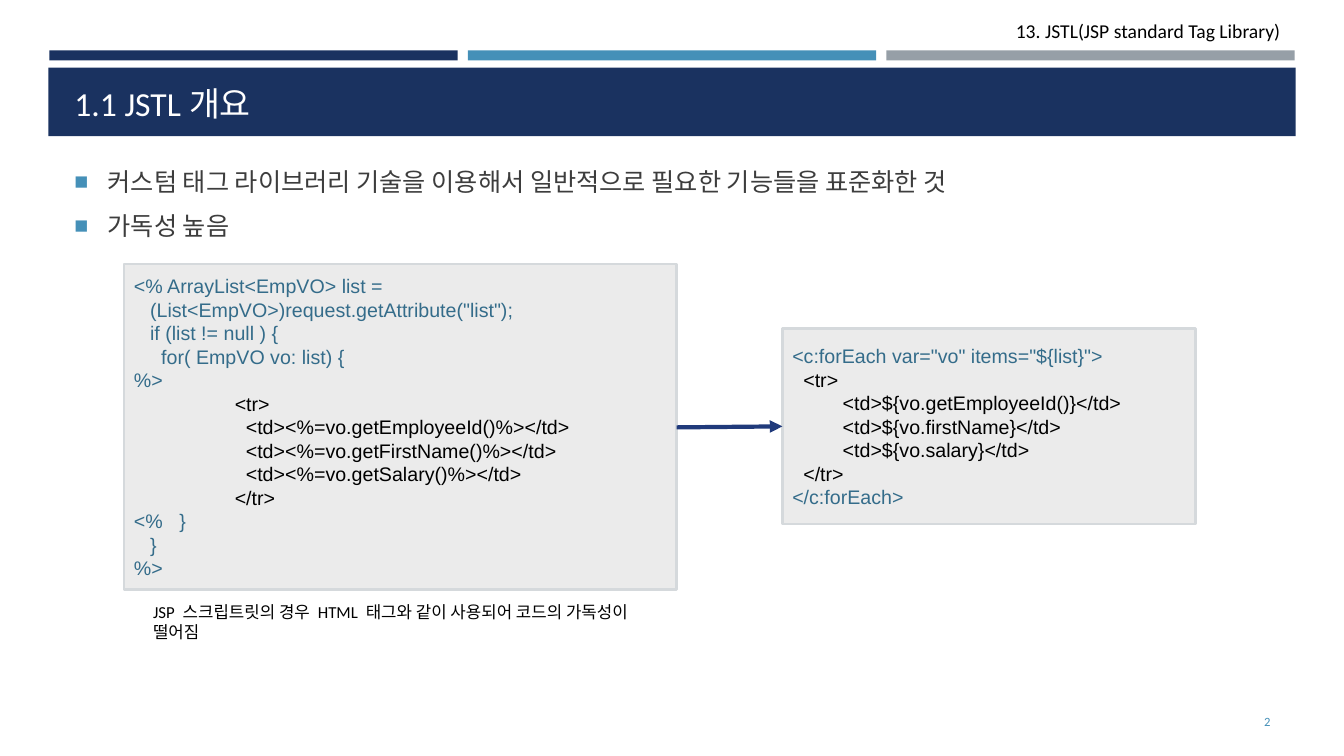
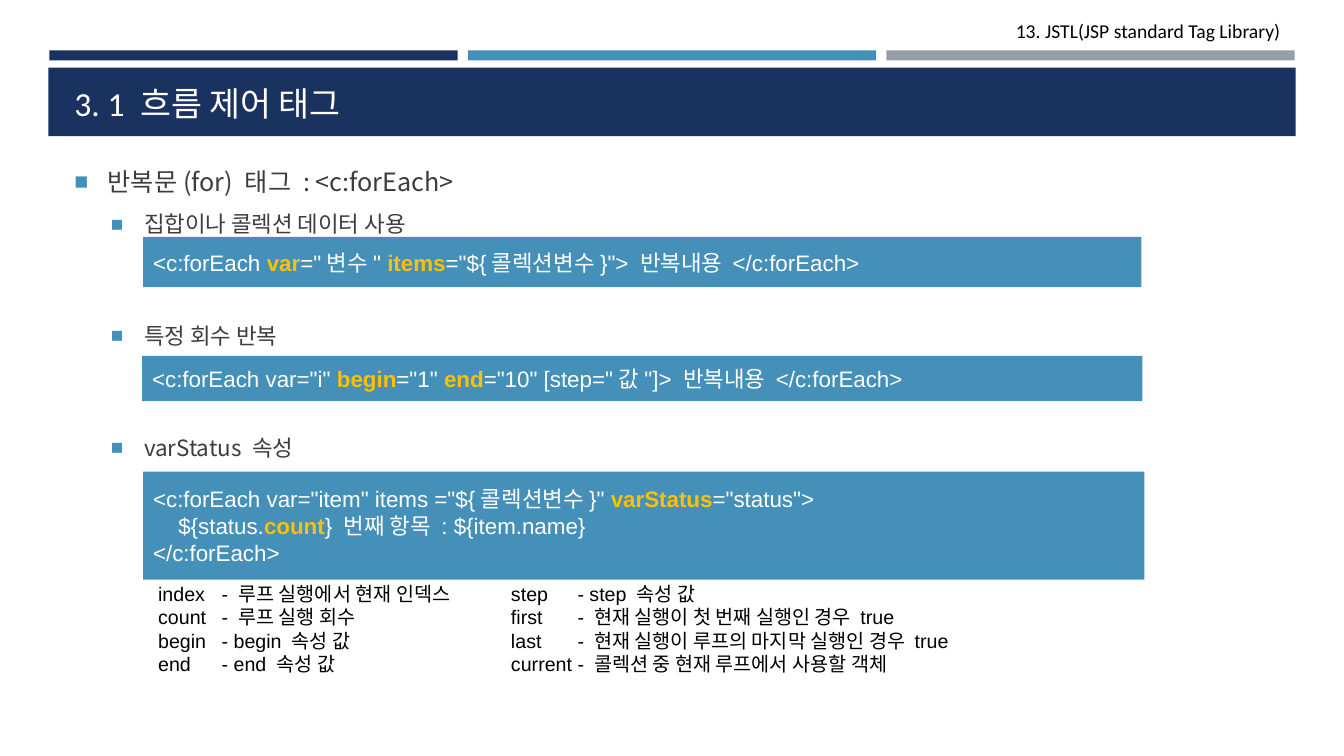
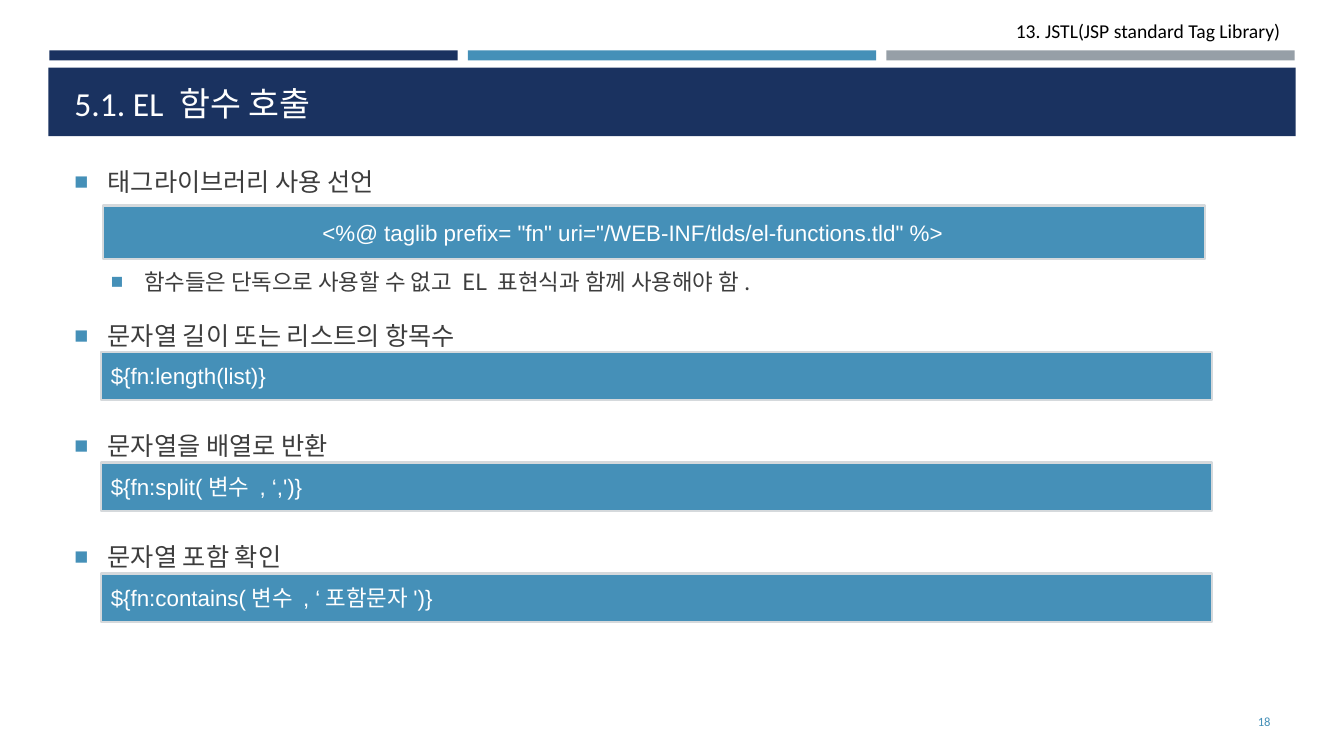
from lxml import etree
from pptx import Presentation
from pptx.dml.color import RGBColor
from pptx.enum.shapes import MSO_CONNECTOR, MSO_SHAPE
from pptx.enum.text import MSO_ANCHOR, PP_ALIGN
from pptx.oxml.ns import qn
from pptx.util import Inches, Pt

NAVY, BLUE, GRAY = "1A3260", "4590B8", "969FA7"
PALE, EDGE, ARROW = "EBEBEB", "D5D9DC", "203A7B"
WHITE, BLACK, BODY, CODE, GOLD = "FFFFFF", "000000", "3D3D3D", "346C8A", "FFC000"
SANS, MONO, KOREAN = "Calibri", "Arial", "Noto Sans CJK KR"
LEADING = 1.2


def rgb(value):
    return RGBColor.from_string(value)


def sub(parent, tag, **attrs):
    el = etree.SubElement(parent, qn(tag))
    for key, value in attrs.items():
        el.set(key, str(value))
    return el


# Text
def add_run(p, text, color, **fmt):
    r = p.add_run()
    r.text = text
    for key, value in fmt.items():
        setattr(r.font, key, value)
    r.font.color.rgb = rgb(color)
    sub(r._r.get_or_add_rPr(), "a:ea", typeface=KOREAN)


def add_para(p, text, size, color, font, indent=0, tab=None, **fmt):
    """Fill one paragraph; parts between asterisks are highlighted."""
    fmt = {"line_spacing": Pt(size * LEADING), **fmt}
    for key, value in fmt.items():
        setattr(p, key, value)
    pPr = p._p.get_or_add_pPr()
    if indent:
        pPr.set("marL", str(Inches(indent)))
    if tab:
        sub(sub(pPr, "a:tabLst"), "a:tab", pos=Inches(tab), algn="l")
    for i, part in enumerate(text.split("*")):
        marked = i % 2 == 1
        if part:
            add_run(p, part, GOLD if marked else color,
                    name=font, size=Pt(size), bold=marked)


def paragraphs(tf, count):
    return [tf.paragraphs[0]] + [tf.add_paragraph() for _ in range(count - 1)]


def add_text(s, at, lines, size, color=BLACK, font=SANS, anchor=MSO_ANCHOR.TOP, **fmt):
    sp = s.shapes.add_textbox(*map(Inches, at))
    tf = sp.text_frame
    tf.word_wrap = True
    tf.vertical_anchor = anchor
    for p, text in zip(paragraphs(tf, len(lines)), lines):
        add_para(p, text, size, color, font, **fmt)


def add_bullets(s, items):
    """Each item is text, level and space before in points."""
    sp = s.shapes.add_textbox(*map(Inches, (0.64, 1.6, 12.06, 5.28)))
    tf = sp.text_frame
    tf.word_wrap = True
    for p, (text, level, before) in zip(paragraphs(tf, len(items)), items):
        add_para(p, text, (18, 16)[level], BODY, KOREAN, indent=(0.33, 0.69)[level],
                 level=level, space_before=Pt(before), space_after=Pt(6))
        pPr = p._p.get_or_add_pPr()
        pPr.set("indent", str(-Inches(0.33)))
        sub(sub(pPr, "a:buClr"), "a:srgbClr", val=BLUE)
        sub(pPr, "a:buSzPct", val=92000)
        sub(pPr, "a:buFont", typeface=MONO)
        sub(pPr, "a:buChar", char="■")


# Shapes
def add_rect(s, at, fill, line=None):
    sp = s.shapes.add_shape(MSO_SHAPE.RECTANGLE, *map(Inches, at))
    sp.shadow.inherit = False
    sp.fill.solid()
    sp.fill.fore_color.rgb = rgb(fill)
    if line:
        sp.line.color.rgb = rgb(line)
        sp.line.width = Pt(1.75)
    else:
        sp.line.fill.background()
    return sp


def add_code(s, at, lines, size=16, fill=BLUE, line=None):
    """Each line is text, colour, indent and an optional tab stop."""
    tf = add_rect(s, at, fill, line).text_frame
    tf.word_wrap = True
    tf.vertical_anchor = MSO_ANCHOR.MIDDLE
    for p, (text, color, *layout) in zip(paragraphs(tf, len(lines)), lines):
        add_para(p, text, size, color, MONO, *layout, alignment=PP_ALIGN.LEFT)


def add_arrow(s, start, end):
    cn = s.shapes.add_connector(MSO_CONNECTOR.STRAIGHT, *map(Inches, start + end))
    cn.line.color.rgb = rgb(ARROW)
    cn.line.width = Pt(3)
    sub(cn.line._get_or_add_ln(), "a:tailEnd", type="triangle")
    sub(cn._element.spPr, "a:effectLst")


# Shared frame
def add_slide(prs, title, number=None):
    s = prs.slides.add_slide(prs.slide_layouts[6])
    for i, color in enumerate((NAVY, BLUE, GRAY)):
        add_rect(s, (0.49 + 4.15 * i, 0.5, 4.05, 0.1), color)
    add_text(s, (8.76, 0.14, 4.04, 0.34), ["13. JSTL(JSP standard Tag Library)"], 14,
             alignment=PP_ALIGN.RIGHT)
    add_rect(s, (0.48, 0.67, 12.37, 0.68), NAVY)
    add_text(s, (0.64, 0.72, 12.06, 0.55), [title], 24, WHITE, anchor=MSO_ANCHOR.BOTTOM)
    if number:
        add_text(s, (11.55, 6.96, 1.15, 0.4), [str(number)], 9, BLUE,
                 anchor=MSO_ANCHOR.MIDDLE, alignment=PP_ALIGN.RIGHT)
    return s


def overview(prs):
    s = add_slide(prs, "1.1 JSTL개요", 2)
    add_bullets(s, [
        ("커스텀 태그 라이브러리 기술을 이용해서 일반적으로 필요한 기능들을 표준화한 것", 0, 0),
        ("가독성 높음", 0, 4),
    ])
    add_code(s, (7.76, 3.26, 4.1, 1.94), [
        ('<c:forEach var="vo" items="${list}">', CODE),
        ("<tr>", BLACK, 0.11),
        ("<td>${vo.getEmployeeId()}</td>", BLACK, 0.5),
        ("<td>${vo.firstName}</td>", BLACK, 0.5),
        ("<td>${vo.salary}</td>", BLACK, 0.5),
        ("</tr>", BLACK, 0.11),
        ("</c:forEach>", CODE),
    ], 14, PALE, EDGE)
    add_code(s, (1.23, 2.62, 5.48, 3.23), [
        ("<% ArrayList<EmpVO> list =", CODE),
        ('(List<EmpVO>)request.getAttribute("list");', CODE, 0.16),
        ("if (list != null ) {", CODE, 0.16),
        ("for( EmpVO vo: list) {", CODE, 0.27),
        ("%>", CODE),
        ("<tr>", BLACK, 1),
        ("<td><%=vo.getEmployeeId()%></td>", BLACK, 1.11),
        ("<td><%=vo.getFirstName()%></td>", BLACK, 1.11),
        ("<td><%=vo.getSalary()%></td>", BLACK, 1.11),
        ("</tr>", BLACK, 1),
        ("<%\t}", CODE, 0, 0.45),
        ("}", CODE, 0.16),
        ("%>", CODE),
    ], 14, PALE, EDGE)
    add_arrow(s, (6.71, 4.24), (7.76, 4.23))
    add_text(s, (1.42, 5.92, 5.24, 0.3),
             ["JSP 스크립트릿의 경우 HTML 태그와 같이 사용되어 코드의 가독성이 떨어짐"], 12)


def flow_control(prs):
    s = add_slide(prs, "3. 1 흐름 제어 태그")
    add_bullets(s, [
        ("반복문(for) 태그 : <c:forEach>", 0, 0),
        ("집합이나 콜렉션 데이터 사용", 1, 4),
        ("특정 회수 반복", 1, 54.5),
        ("varStatus 속성", 1, 54.5),
    ])
    add_code(s, (1.42, 2.35, 9.9, 0.5), [
        ('<c:forEach *var*="변수" *items*="${콜렉션변수}"> 반복내용 </c:forEach>', WHITE)])
    add_code(s, (1.41, 3.53, 9.92, 0.45), [
        ('<c:forEach var="i" *begin*="1" *end*="10" [step="값"]> 반복내용 </c:forEach>', WHITE)])
    add_code(s, (1.42, 4.68, 9.93, 1.07), [
        ('<c:forEach var="item" items ="${콜렉션변수}" *varStatus*="status">', WHITE),
        ("${status.*count*} 번째 항목 : ${item.name}", WHITE, 0.25),
        ("</c:forEach>", WHITE),
    ])
    # Status properties in two columns
    add_text(s, (1.47, 5.72, 3.54, 1.04), [
        "index\t- 루프 실행에서 현재 인덱스",
        "count\t- 루프 실행 회수",
        "begin\t- begin 속성 값",
        "end\t- end 속성 값",
    ], 14, font=MONO, tab=0.63)
    add_text(s, (4.97, 5.72, 4.97, 1.04), [
        "step\t- step 속성 값",
        "first\t- 현재 실행이 첫 번째 실행인 경우 true",
        "last\t- 현재 실행이 루프의 마지막 실행인 경우 true",
        "current\t- 콜렉션 중 현재 루프에서 사용할 객체",
    ], 14, font=MONO, tab=0.66)


def functions(prs):
    s = add_slide(prs, "5.1. EL 함수 호출", 18)
    add_bullets(s, [
        ("태그라이브러리 사용 선언", 0, 0),
        ("함수들은 단독으로 사용할 수 없고 EL 표현식과 함께 사용해야 함.", 1, 45),
        ("문자열 길이 또는 리스트의 항목수", 0, 12),
        ("문자열을 배열로 반환", 0, 51.3),
        ("문자열 포함 확인", 0, 51.3),
    ])
    add_code(s, (1.02, 2.04, 10.93, 0.53), [
        ('<%@ taglib prefix= "fn" uri="/WEB-INF/tlds/el-functions.tld" %>', WHITE, 2.08),
    ], line=EDGE)
    calls = ("${fn:length(list)}", "${fn:split(변수 , ‘,')}", "${fn:contains(변수 , ‘포함문자')}")
    for i, call in enumerate(calls):
        add_code(s, (1, 3.49 + 1.1 * i, 11.02, 0.48), [(call, WHITE)], line=EDGE)


def main():
    prs = Presentation()
    prs.slide_width, prs.slide_height = Inches(13.33), Inches(7.5)
    overview(prs)
    flow_control(prs)
    functions(prs)
    prs.save("out.pptx")


main()
